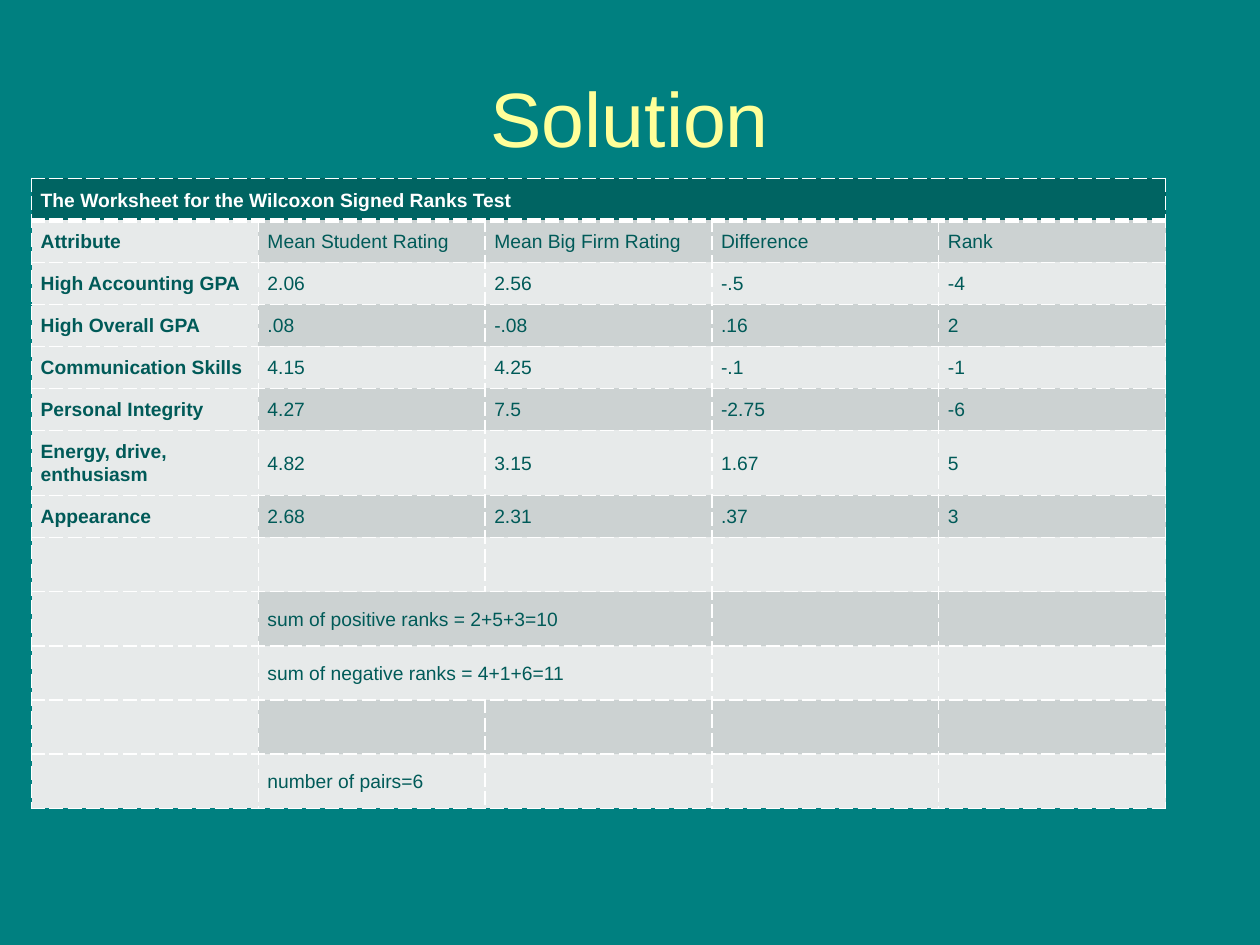
from lxml import etree
from pptx import Presentation
from pptx.dml.color import RGBColor
from pptx.enum.text import MSO_ANCHOR, PP_ALIGN
from pptx.oxml.ns import qn
from pptx.util import Pt

MIDDLE = MSO_ANCHOR.MIDDLE
CENTER = PP_ALIGN.CENTER
BLANK_LAYOUT = 6
FONT = "Arial"
COLORS = {
    "background": "008080",
    "title": "FFFF99",
    "header": "006462",
    "light": "E7EAEA",
    "dark": "CCD2D2",
    "text": "005A58",
    "white": "FFFFFF",
}
THIN, THICK = 0.96, 3

WORKSHEET = [
    ["The Worksheet for the Wilcoxon Signed Ranks Test"],
    ["Attribute", "Mean Student Rating", "Mean Big Firm Rating", "Difference", "Rank"],
    ["High Accounting GPA", "2.06", "2.56", "-.5", "-4"],
    ["High Overall GPA", ".08", "-.08", ".16", "2"],
    ["Communication Skills", "4.15", "4.25", "-.1", "-1"],
    ["Personal Integrity", "4.27", "7.5", "-2.75", "-6"],
    ["Energy, drive, enthusiasm", "4.82", "3.15", "1.67", "5"],
    ["Appearance", "2.68", "2.31", ".37", "3"],
    [],
    ["", "sum of positive ranks = 2+5+3=10"],
    ["", "sum of negative ranks = 4+1+6=11"],
    [],
    ["", "number of pairs=6"],
]
COLUMN_COUNT = 5
ROW_HEIGHTS = [24] * 6 + [37.2, 24] + [31] * 5
MERGES = [(0, 0, 4), (9, 1, 2), (10, 1, 2)]  # row, first column, last column


def rgb(name):
    return RGBColor.from_string(COLORS[name])


def style_paragraph(paragraph, size, color, bold=False):
    font = paragraph.font
    font.name = FONT
    font.size = Pt(size)
    font.bold = bold
    font.color.rgb = rgb(color)


def add_title(slide, text, left, top, width, height):
    box = slide.shapes.add_textbox(Pt(left), Pt(top), Pt(width), Pt(height))
    frame = box.text_frame
    frame.word_wrap = True
    frame.vertical_anchor = MIDDLE
    paragraph = frame.paragraphs[0]
    paragraph.text = text
    paragraph.alignment = CENTER
    style_paragraph(paragraph, 44, "title")


def add_dashed_borders(cell, widths):
    """Draw the borders; widths gives left, right, top and bottom."""
    properties = cell._tc.get_or_add_tcPr()
    for side, width in zip("LRTB", widths):
        line = etree.SubElement(properties, qn(f"a:ln{side}"), w=str(Pt(width)))
        fill = etree.SubElement(line, qn("a:solidFill"))
        etree.SubElement(fill, qn("a:srgbClr"), val=COLORS["white"])
        etree.SubElement(line, qn("a:prstDash"), val="dash")


def cell_fill(row, column):
    if row == 0:
        return "header"
    return "dark" if column > 0 and row % 2 else "light"


def style_cell(cell, row, column):
    top = THICK if row == 1 else THIN
    bottom = THICK if row == 0 else THIN
    add_dashed_borders(cell, (THIN, THIN, top, bottom))
    cell.fill.solid()
    cell.fill.fore_color.rgb = rgb(cell_fill(row, column))
    cell.vertical_anchor = MIDDLE
    cell.margin_left = cell.margin_right = Pt(5.25)
    cell.margin_top = cell.margin_bottom = Pt(3.6)


def add_worksheet(slide, left, top, width):
    frame = slide.shapes.add_table(
        len(WORKSHEET), COLUMN_COUNT, Pt(left), Pt(top), Pt(width), Pt(sum(ROW_HEIGHTS))
    )
    table = frame.table
    table.horz_banding = False
    for column in table.columns:
        column.width = Pt(width / COLUMN_COUNT)
    for row, height in zip(table.rows, ROW_HEIGHTS):
        row.height = Pt(height)
    for row, first, last in MERGES:
        table.cell(row, first).merge(table.cell(row, last))
    for row, texts in enumerate(WORKSHEET):
        for column in range(COLUMN_COUNT):
            style_cell(table.cell(row, column), row, column)
        for column, text in enumerate(texts):
            if text:
                paragraph = table.cell(row, column).text_frame.paragraphs[0]
                paragraph.text = text
                paragraph.line_spacing = Pt(13.2)
                color = "white" if row == 0 else "text"
                style_paragraph(paragraph, 11, color, bold=column == 0)


def main():
    presentation = Presentation()
    presentation.slide_width = Pt(720)
    presentation.slide_height = Pt(540)
    slide = presentation.slides.add_slide(presentation.slide_layouts[BLANK_LAYOUT])
    slide.background.fill.solid()
    slide.background.fill.fore_color.rgb = rgb("background")
    add_title(slide, "Solution", 36, 21.6, 648, 90)
    add_worksheet(slide, 18, 102, 648)
    presentation.save("out.pptx")


if __name__ == "__main__":
    main()
